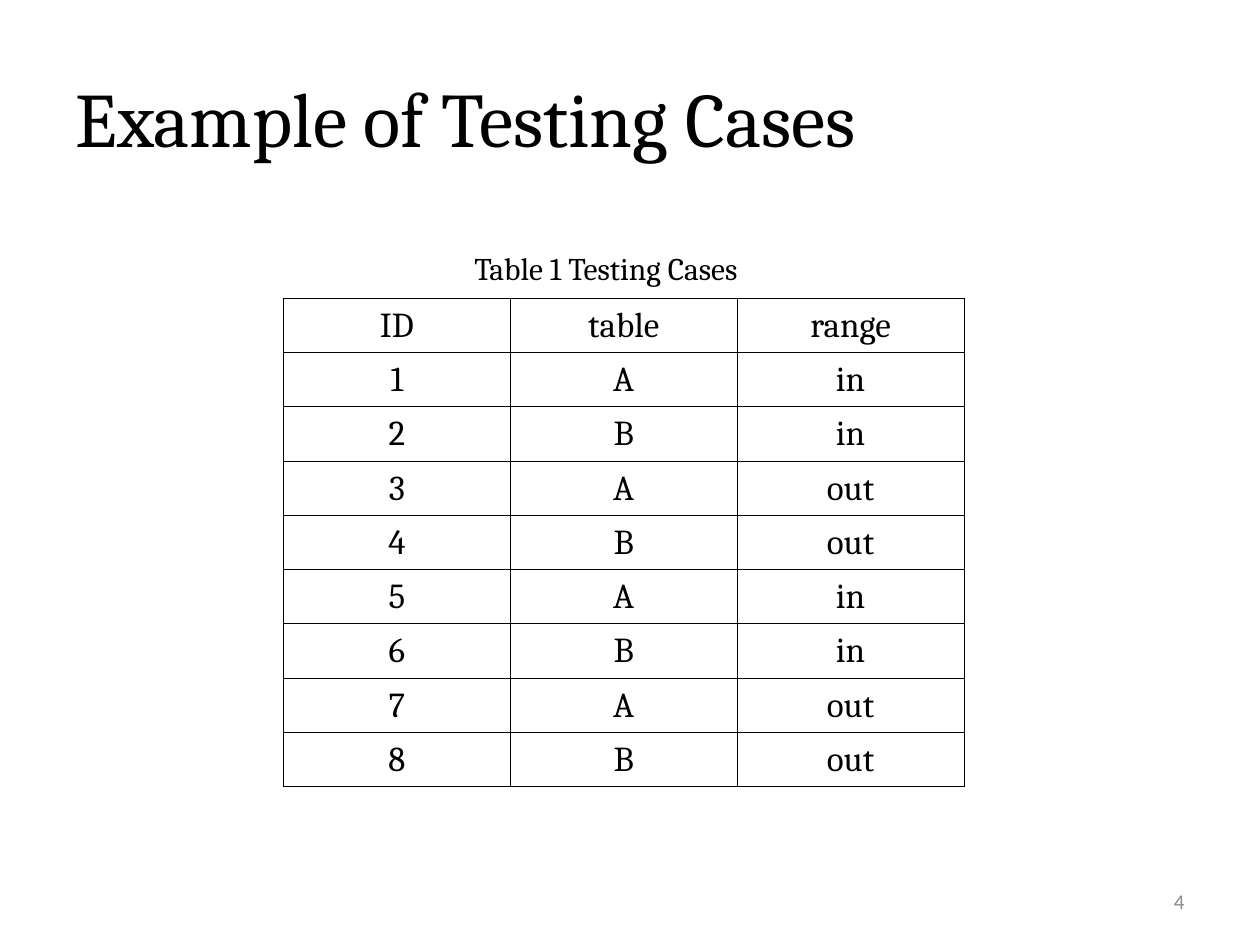
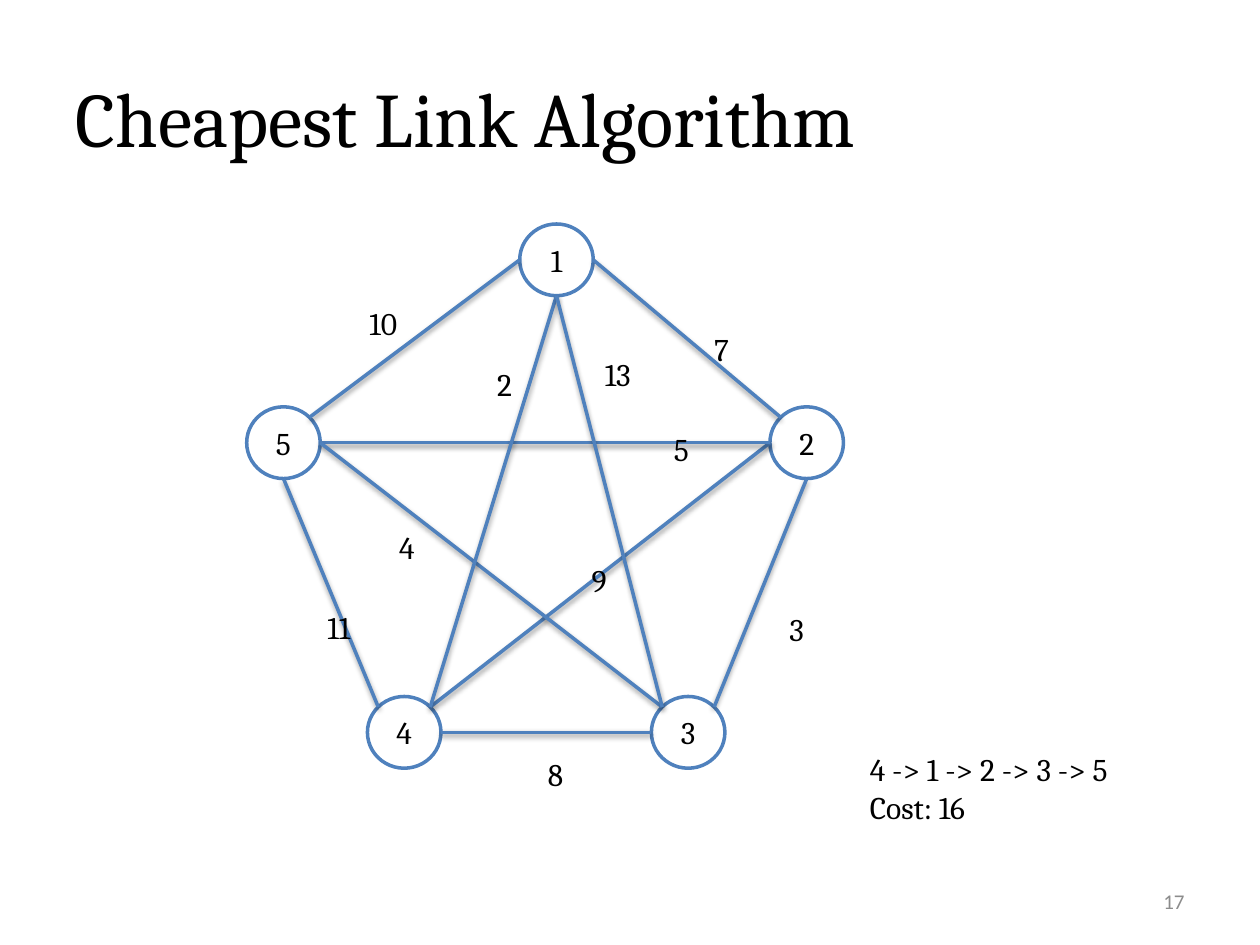
from math import sqrt

from lxml import etree
from pptx import Presentation
from pptx.dml.color import RGBColor
from pptx.enum import shapes, text
from pptx.oxml import ns
from pptx.util import Pt

COLORS = {"ink": "000000", "paper": "FFFFFF", "blue": "4F81BD", "grey": "8C8C8C"}
ALIGN = text.PP_ALIGN
MIDDLE = text.MSO_ANCHOR.MIDDLE
TITLE_ONLY = 5

CASES = [["ID", "table", "range"]] + [
    [str(i + 1), "AB"[i % 2], ["in", "out"][i // 2 % 2]] for i in range(8)
]

NODE_W, NODE_H = 42, 41
# Left and top of each graph node
NODES = {
    "5": (141, 232.5),
    "3": (372.25, 398),
    "4": (210, 398),
    "2": (440, 232.5),
    "1": (297, 128),
}
# Connection sites of an ellipse, as directions from its centre
DIAGONAL = sqrt(0.5)
SITES = {
    "top": (0, 0, -1),
    "left": (2, -1, 0),
    "bottom": (4, 0, 1),
    "right": (6, 1, 0),
    "top right": (7, DIAGONAL, -DIAGONAL),
    "top left": (1, -DIAGONAL, -DIAGONAL),
}
# Start node, its site, end node, its site, weight, left and top of the weight
LINKS = [
    ("1", "left", "5", "top right", "10", 204, 170),
    ("5", "bottom", "4", "top left", "11", 180, 344),
    ("1", "right", "2", "top left", "7", 401, 185),
    ("2", "bottom", "3", "top right", "3", 444, 345),
    ("3", "left", "4", "right", "8", 306, 428),
    ("2", "left", "4", "top right", "9", 331, 317),
    ("5", "right", "2", "left", "5", 378, 242),
    ("5", "right", "3", "top left", "4", 221, 298),
    ("1", "bottom", "4", "top right", "2", 277, 205),
    ("1", "bottom", "3", "top left", "13", 338.5, 199.5),
]


def color(name):
    return RGBColor.from_string(COLORS[name])


def write(frame, content, size=18, font="Cambria", ink="ink", align=ALIGN.LEFT):
    """Fill a text frame, one paragraph for each line of content."""
    for i, line in enumerate(content.split("\n")):
        para = frame.add_paragraph() if i else frame.paragraphs[0]
        para.alignment = align
        span = para.add_run()
        span.text = line
        span.font.size = Pt(size)
        span.font.name = font
        span.font.color.rgb = color(ink)


def add_text(page, content, left, top, width, height=29, wrap=False, anchor=None, **style):
    box = page.shapes.add_textbox(Pt(left), Pt(top), Pt(width), Pt(height))
    box.text_frame.word_wrap = wrap
    if anchor is not None:
        box.text_frame.vertical_anchor = anchor
    write(box.text_frame, content, **style)


def add_page(deck, title, number):
    page = deck.slides.add_slide(deck.slide_layouts[TITLE_ONLY])
    heading = page.shapes.title
    heading.left, heading.top, heading.width, heading.height = map(Pt, (36, 21.6, 648, 90))
    heading.text_frame.vertical_anchor = MIDDLE
    write(heading.text_frame, title, size=44)
    add_text(page, number, 516, 500.5, 168, wrap=True, anchor=MIDDLE,
             size=12, font="Calibri", ink="grey", align=ALIGN.RIGHT)
    return page


def add_borders(cell):
    properties = cell._tc.get_or_add_tcPr()
    for side in ("lnL", "lnR", "lnT", "lnB"):
        line = etree.SubElement(properties, ns.qn("a:" + side), w=str(Pt(0.5)))
        fill = etree.SubElement(line, ns.qn("a:solidFill"))
        etree.SubElement(fill, ns.qn("a:srgbClr"), val=COLORS["ink"])


def add_grid(page, rows, left, top, column_width, row_height):
    table = page.shapes.add_table(
        len(rows), len(rows[0]), Pt(left), Pt(top),
        Pt(column_width * len(rows[0])), Pt(row_height * len(rows))).table
    table.first_row = table.horz_banding = False
    for column in table.columns:
        column.width = Pt(column_width)
    for row, values in zip(table.rows, rows):
        row.height = Pt(row_height)
        for cell, value in zip(row.cells, values):
            cell.margin_left = cell.margin_right = cell.margin_top = Pt(0.75)
            cell.margin_bottom = 0
            cell.vertical_anchor = MIDDLE
            add_borders(cell)
            cell.fill.background()
            write(cell.text_frame, value, size=20, align=ALIGN.CENTER)


def add_node(page, label, left, top):
    node = page.shapes.add_shape(
        shapes.MSO_SHAPE.OVAL, Pt(left), Pt(top), Pt(NODE_W), Pt(NODE_H))
    node.shadow.inherit = False
    node.fill.solid()
    node.fill.fore_color.rgb = color("paper")
    node.line.color.rgb = color("blue")
    node.line.width = Pt(2)
    node.text_frame.vertical_anchor = MIDDLE
    write(node.text_frame, label, align=ALIGN.CENTER)
    return node


def site_point(label, site):
    left, top = NODES[label]
    _, dx, dy = SITES[site]
    return Pt(left + NODE_W / 2 * (1 + dx)), Pt(top + NODE_H / 2 * (1 + dy))


def add_shadow(line):
    effects = etree.SubElement(line._element.spPr, ns.qn("a:effectLst"))
    shadow = etree.SubElement(
        effects, ns.qn("a:outerShdw"), blurRad=str(Pt(3.1)), dist=str(Pt(1.6)),
        dir="5400000", rotWithShape="0")
    shade = etree.SubElement(shadow, ns.qn("a:srgbClr"), val=COLORS["ink"])
    etree.SubElement(shade, ns.qn("a:alpha"), val="38000")


def add_link(page, nodes, start, start_site, end, end_site):
    line = page.shapes.add_connector(
        shapes.MSO_CONNECTOR.STRAIGHT,
        *site_point(start, start_site), *site_point(end, end_site))
    line.line.color.rgb = color("blue")
    line.line.width = Pt(2)
    add_shadow(line)
    # An ellipse has eight sites, so the joins are written directly
    joins = line._element.find(".//" + ns.qn("p:cNvCxnSpPr"))
    for tag, label, site in (("a:stCxn", start, start_site), ("a:endCxn", end, end_site)):
        etree.SubElement(joins, ns.qn(tag), id=str(nodes[label].shape_id),
                         idx=str(SITES[site][0]))


def add_graph(page):
    nodes = {label: add_node(page, label, *place) for label, place in NODES.items()}
    for link in LINKS:
        add_link(page, nodes, *link[:4])
    for *_, weight, left, top in LINKS:
        add_text(page, weight, left, top, 14.4 + 9.4 * len(weight))


def main():
    deck = Presentation()
    deck.slide_width, deck.slide_height = Pt(720), Pt(540)

    page = add_page(deck, "Example of Testing Cases", "4")
    add_grid(page, CASES, left=162, top=170.5, column_width=129.6, row_height=31)
    add_text(page, "Table 1 Testing Cases", 264, 138.5, 173)

    page = add_page(deck, "Cheapest Link Algorithm", "17")
    add_graph(page)
    add_text(page, "4 -> 1 -> 2 -> 3 -> 5\nCost: 16", 490, 425, 161, 51)

    deck.save("out.pptx")


if __name__ == "__main__":
    main()
